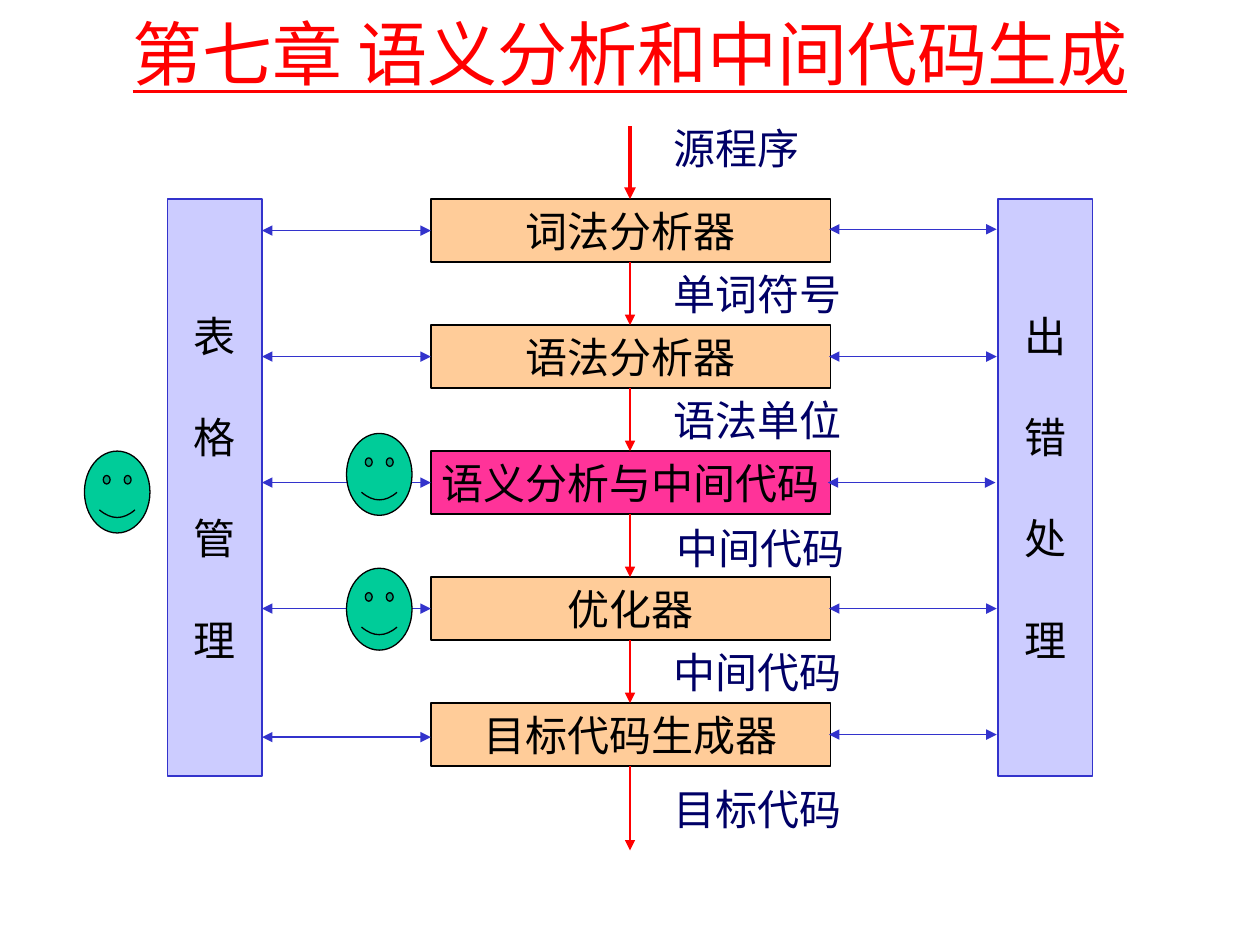
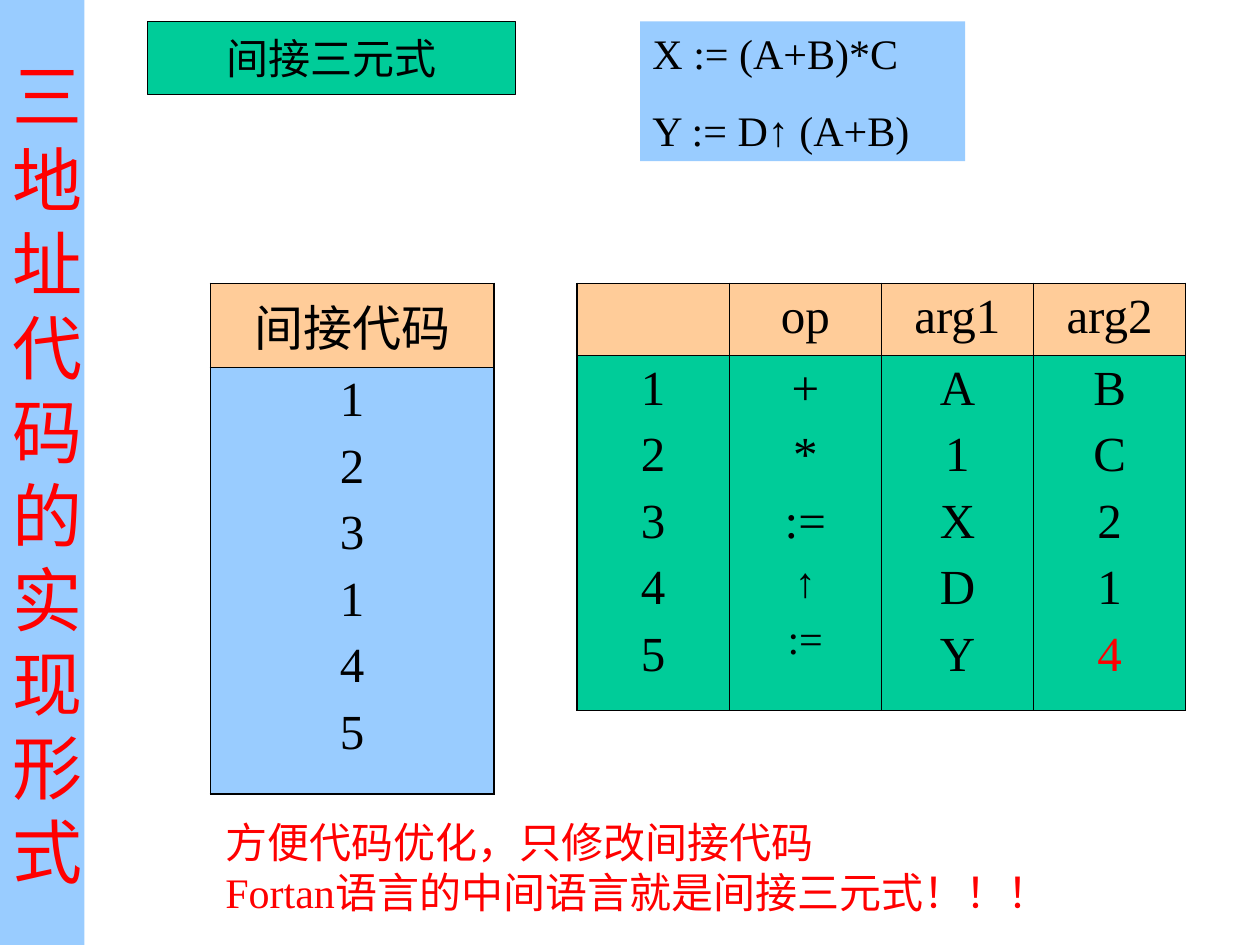
import pptx
import pptx.util
import pptx.dml.color
import pptx.enum.shapes
import pptx.enum.text
import pptx.oxml
import pptx.oxml.ns
from lxml import etree

Inches = pptx.util.Inches
RGB = pptx.dml.color.RGBColor
SHAPE = pptx.enum.shapes.MSO_SHAPE
ALIGN = pptx.enum.text.PP_ALIGN
ANCHOR = pptx.enum.text.MSO_ANCHOR
qn = pptx.oxml.ns.qn

# Shared look
FONT = "Times New Roman"
ARROW_FONT = "Arial"
BLACK = RGB(0x00, 0x00, 0x00)
RED = RGB(0xFF, 0x00, 0x00)
NAVY = RGB(0x00, 0x00, 0x66)
BLUE = RGB(0x33, 0x33, 0xCC)
LILAC = RGB(0xCC, 0xCC, 0xFF)
SKY = RGB(0x99, 0xCC, 0xFF)
PEACH = RGB(0xFF, 0xCC, 0x99)
PINK = RGB(0xFF, 0x33, 0x99)
GREEN = RGB(0x00, 0xCC, 0x99)
TITLE = dict(size=40, color=RED, align=ALIGN.CENTER)
OUTER, INNER = 1.08, 0.45  # table rules in points


def write(tf, paras, **fmt):
    """Fill a frame; a paragraph is a string or a list of (text, overrides)."""
    base = dict(size=24, color=BLACK, font=FONT, underline=None,
                align=ALIGN.LEFT, gap=0) | fmt
    for i, para in enumerate([paras] if isinstance(paras, str) else paras):
        p = tf.paragraphs[0] if i == 0 else tf.add_paragraph()
        p.alignment = base["align"]
        runs = [(para, {})] if isinstance(para, str) else para
        if i:
            p.space_before = pptx.util.Pt((base | runs[0][1])["gap"])
        for text, changes in runs:
            look = base | changes
            r = p.add_run()
            r.text = text
            r.font.size = pptx.util.Pt(look["size"])
            r.font.name = look["font"]
            r.font.underline = look["underline"]
            r.font.color.rgb = look["color"]


def text_box(s, at, paras, anchor=ANCHOR.TOP, wrap=True, **fmt):
    tf = s.shapes.add_textbox(*map(Inches, at)).text_frame
    tf.word_wrap = wrap
    tf.vertical_anchor = anchor
    write(tf, paras, **fmt)


def box(s, at, fill, paras=(), line=BLACK, kind=SHAPE.RECTANGLE,
        anchor=ANCHOR.MIDDLE, wrap=False, **fmt):
    sp = s.shapes.add_shape(kind, *map(Inches, at))
    sp.shadow.inherit = False
    sp.fill.solid()
    sp.fill.fore_color.rgb = fill
    if line is None:
        sp.line.fill.background()
    else:
        sp.line.color.rgb = line
        sp.line.width = pptx.util.Pt(0.75)
    tf = sp.text_frame
    tf.word_wrap = wrap
    tf.vertical_anchor = anchor
    write(tf, paras, **(dict(align=ALIGN.CENTER) | fmt))


def arrow(s, x1, y1, x2, y2, color, width=0.75, both=False):
    c = s.shapes.add_connector(pptx.enum.shapes.MSO_CONNECTOR.STRAIGHT,
                               *map(Inches, (x1, y1, x2, y2)))
    c.line.color.rgb = color
    c.line.width = pptx.util.Pt(width)
    ln = c.line._get_or_add_ln()
    for end in ("a:headEnd", "a:tailEnd") if both else ("a:tailEnd",):
        etree.SubElement(ln, qn(end), type="triangle")
    etree.SubElement(c._element.spPr, qn("a:effectLst"))


def cell_border(cell, side, width):
    ln = etree.SubElement(cell._tc.get_or_add_tcPr(), qn("a:ln" + side),
                          w=str(pptx.util.Pt(width)))
    fill = etree.SubElement(ln, qn("a:solidFill"))
    etree.SubElement(fill, qn("a:srgbClr"), val=str(BLACK))


def code_table(s, at, heads, columns, row_heights, body_fill):
    """Header row above one tall row that holds a paragraph per entry."""
    n = len(heads)
    frame = s.shapes.add_table(2, n, *map(Inches, at))
    t = frame.table
    t.first_row = t.horz_banding = False
    for row, height in zip(t.rows, row_heights):
        row.height = Inches(height)
    for j in range(n):
        t.columns[j].width = Inches(at[2] / n)
        for i, paras in enumerate((heads[j], columns[j])):
            cell = t.cell(i, j)
            outer = {"L": j == 0, "R": j == n - 1, "T": i == 0, "B": i == 1}
            for side, is_outer in outer.items():
                cell_border(cell, side, OUTER if is_outer else INNER)
            cell.fill.solid()
            cell.fill.fore_color.rgb = body_fill if i else PEACH
            if paras:
                write(cell.text_frame, paras, size=28, gap=7,
                      align=ALIGN.CENTER)


def compiler_slide(prs):
    s = prs.slides.add_slide(prs.slide_layouts[6])
    text_box(s, (0.75, 0.17, 8.5, 0.5), "第七章 语义分析和中间代码生成",
             anchor=ANCHOR.MIDDLE, underline=True, **TITLE)

    # Compiler phases, one inch apart
    phases = ["词法分析器", "语法分析器", "语义分析与中间代码", "优化器",
              "目标代码生成器"]
    for i, phase in enumerate(phases):
        box(s, (3.42, 1.58 + i, 3.17, 0.5), PINK if i == 2 else PEACH, phase)

    # Side columns that serve every phase
    for x, word in ((1.33, "表格管理"), (7.92, "出错处理")):
        box(s, (x, 1.58, 0.75, 4.58), LILAC, list(word), line=BLUE, gap=29)

    # Flow from phase to phase
    arrow(s, 5, 1, 5, 1.58, RED, width=2.25)
    for i in range(len(phases)):
        end = 6.75 if i == len(phases) - 1 else 2.58 + i
        arrow(s, 5, 2.08 + i, 5, end, RED)

    # Links to the side columns
    for y in (1.83, 2.83, 3.83, 4.83, 5.85):
        arrow(s, 2.08, y, 3.42, y, BLUE, both=True)
    for y in (1.82, 2.83, 3.83, 4.83, 5.83):
        x = 6.57 if y == 3.83 else 6.58
        arrow(s, x, y, x + 1.33, y, BLUE, both=True)

    # What passes along the flow
    for x, y, label in ((5.25, 0.92, "源程序"), (5.25, 2.08, "单词符号"),
                        (5.25, 3.08, "语法单位"), (5.27, 4.1, "中间代码"),
                        (5.25, 5.08, "中间代码"), (5.25, 6.17, "目标代码")):
        text_box(s, (x, y, 1.73, 0.5), label, color=NAVY)

    for x, y in ((2.75, 3.44), (2.75, 4.51), (0.67, 3.58)):
        box(s, (x, y, 0.52, 0.65), GREEN, kind=SHAPE.SMILEY_FACE)


def triples_slide(prs):
    s = prs.slides.add_slide(prs.slide_layouts[6])
    # Narrow band: wrapping sets one character to a line
    box(s, (0, 0, 0.67, 7.5), SKY, "三地址代码的实现形式", line=None,
        wrap=True, **TITLE)
    box(s, (1.17, 0.17, 2.92, 0.58), GREEN, "间接三元式")
    box(s, (5.08, 0.17, 2.58, 1.11), SKY,
        ["X := (A+B)*C",
         [("Y := D", {}), ("↑", dict(font=ARROW_FONT)), (" (A+B)", {})]],
        line=None, anchor=ANCHOR.TOP, wrap=True, align=ALIGN.LEFT, gap=15)

    # Triples and the order in which they run
    small = dict(size=24, gap=6)
    ops = ["+", "*", ":=", [("↑", small | dict(font=ARROW_FONT))],
           [(":=", small)]]
    arg2 = ["B", "C", "2", "1", [("4", dict(color=RED))]]
    code_table(s, (4.58, 2.25, 4.83, 3.39), ["", "op", "arg1", "arg2"],
               [list("12345"), ops, list("A1XDY"), arg2], (0.57, 2.82), GREEN)
    code_table(s, (1.67, 2.25, 2.25, 3.96), ["间接代码"],
               [list("123145")], (0.57, 3.39), SKY)

    text_box(s, (1.69, 6.43, 6.81, 0.9),
             ["方便代码优化，只修改间接代码",
              "Fortan语言的中间语言就是间接三元式！！！"],
             wrap=False, color=RED)


def main():
    prs = pptx.Presentation()
    prs.slide_width, prs.slide_height = Inches(10), Inches(7.5)
    compiler_slide(prs)
    triples_slide(prs)
    prs.save("out.pptx")


if __name__ == "__main__":
    main()
